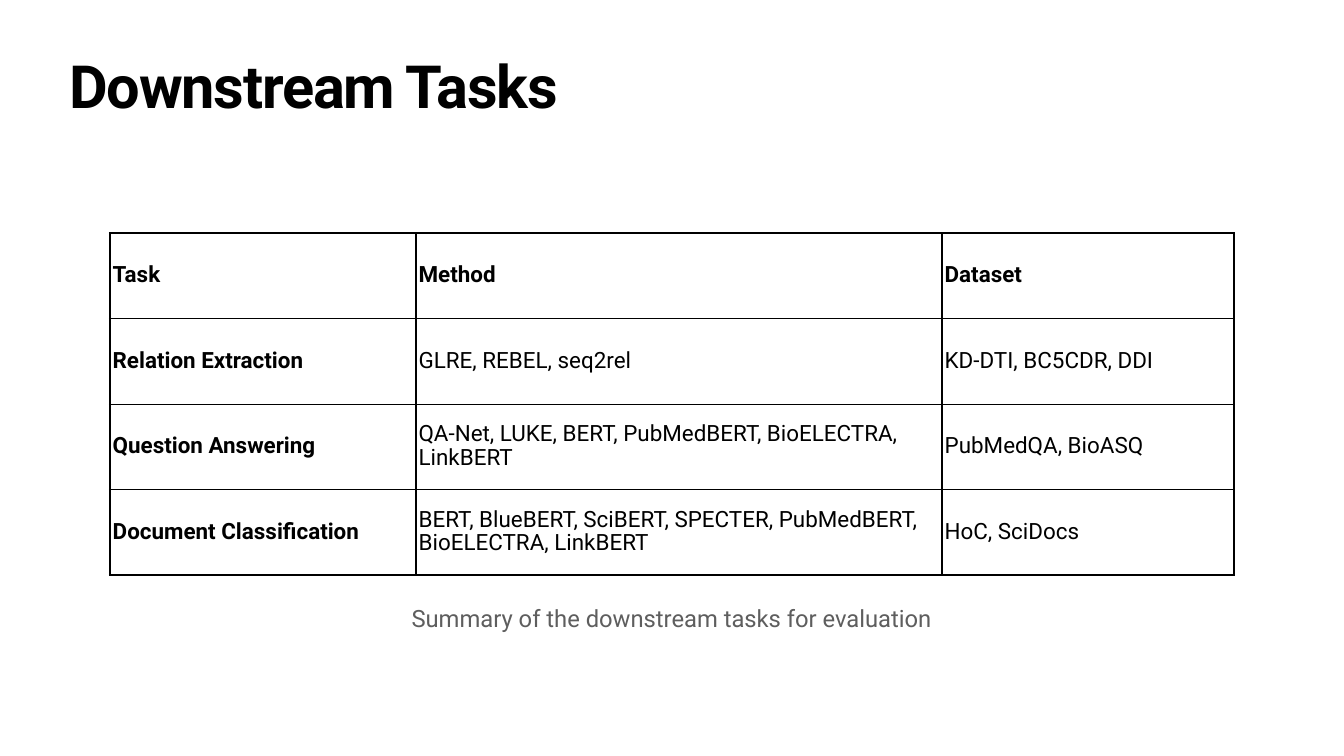
from lxml import etree
from pptx import Presentation
from pptx.dml.color import RGBColor
from pptx.enum import text as t
from pptx.oxml.ns import qn
from pptx.util import Pt

BLACK = RGBColor(0, 0, 0)
GRAY = RGBColor(0x5E, 0x5E, 0x5E)
FONT = "Roboto"
INSET = Pt(4)
COLS = [437, 751.5, 417]
ROWS = [
    ["Task", "Method", "Dataset"],
    ["Relation Extraction", "GLRE, REBEL, seq2rel", "KD-DTI, BC5CDR, DDI"],
    ["Question Answering",
     "QA-Net, LUKE, BERT, PubMedBERT, BioELECTRA, LinkBERT",
     "PubMedQA, BioASQ"],
    ["Document Classification",
     "BERT, BlueBERT, SciBERT, SPECTER, PubMedBERT, BioELECTRA, LinkBERT",
     "HoC, SciDocs"],
]


def write(frame, words, size, color, bold=False, lead=1.0, align=t.PP_ALIGN.LEFT):
    """Write one styled run into the first paragraph and return it."""
    para = frame.paragraphs[0]
    para.alignment, para.line_spacing = align, lead
    para.space_before = Pt(0)
    run = para.add_run()
    run.text = words
    font = run.font
    font.name, font.size, font.bold = FONT, Pt(size), bold
    font.color.rgb = color
    return run


def pad(box):
    """Give a frame or cell equal insets on all sides."""
    box.margin_left = box.margin_right = INSET
    box.margin_top = box.margin_bottom = INSET


def edge(cell, widths):
    """Draw the left, right, top and bottom borders of a cell."""
    props = cell._tc.get_or_add_tcPr()
    for spot, (side, width) in enumerate(zip("LRTB", widths)):
        line = etree.Element(qn(f"a:ln{side}"), w=str(Pt(width)))
        fill = etree.SubElement(line, qn("a:solidFill"))
        etree.SubElement(fill, qn("a:srgbClr"), val=str(BLACK))
        props.insert(spot, line)


def add_head(slide, left, top, width, height):
    """Place the slide title."""
    title = slide.shapes.title
    title.left, title.top = Pt(left), Pt(top)
    title.width, title.height = Pt(width), Pt(height)
    frame = title.text_frame
    pad(frame)
    frame.word_wrap = True
    frame.auto_size = t.MSO_AUTO_SIZE.NONE
    frame.vertical_anchor = t.MSO_ANCHOR.TOP
    run = write(frame, "Downstream Tasks", 85, BLACK, True, 0.8)
    run.font._element.set("spc", "-170")


def add_tasks(slide, left, top, width, height):
    """Place the table of tasks, methods and datasets."""
    table = slide.shapes.add_table(len(ROWS), len(COLS), Pt(left), Pt(top),
                                   Pt(width), Pt(height)).table
    table.first_row = table.horz_banding = False
    for col, size in zip(table.columns, COLS):
        col.width = Pt(size)
    for r, row in enumerate(ROWS):
        table.rows[r].height = Pt(height / len(ROWS))
        for c, words in enumerate(row):
            cell = table.cell(r, c)
            pad(cell)
            cell.vertical_anchor = t.MSO_ANCHOR.MIDDLE
            cell.fill.background()
            write(cell.text_frame, words, 32, BLACK, r == 0 or c == 0, 0.9)
            last = r == len(ROWS) - 1
            edge(cell, [3] * 4 if r == 0 else
                 [1 if c == 1 else 3, 3, 1, 3 if last else 1])


def add_note(slide, left, top, width, height):
    """Place the caption below the table."""
    box = slide.shapes.add_textbox(Pt(left), Pt(top), Pt(width), Pt(height))
    frame = box.text_frame
    pad(frame)
    frame.word_wrap = False
    frame.auto_size = t.MSO_AUTO_SIZE.SHAPE_TO_FIT_TEXT
    frame.vertical_anchor = t.MSO_ANCHOR.MIDDLE
    write(frame, "Summary of the downstream tasks for evaluation", 34, GRAY,
          align=t.PP_ALIGN.CENTER)


def main():
    """Build and save the slide."""
    deck = Presentation()
    deck.slide_width, deck.slide_height = Pt(1920), Pt(1080)
    slide = deck.slides.add_slide(deck.slide_layouts[5])
    add_head(slide, 95, 85, 1730, 113)
    add_note(slide, 583, 860, 753, 47)
    add_tasks(slide, 157, 333, sum(COLS), 488)
    deck.save("out.pptx")


if __name__ == "__main__":
    main()
